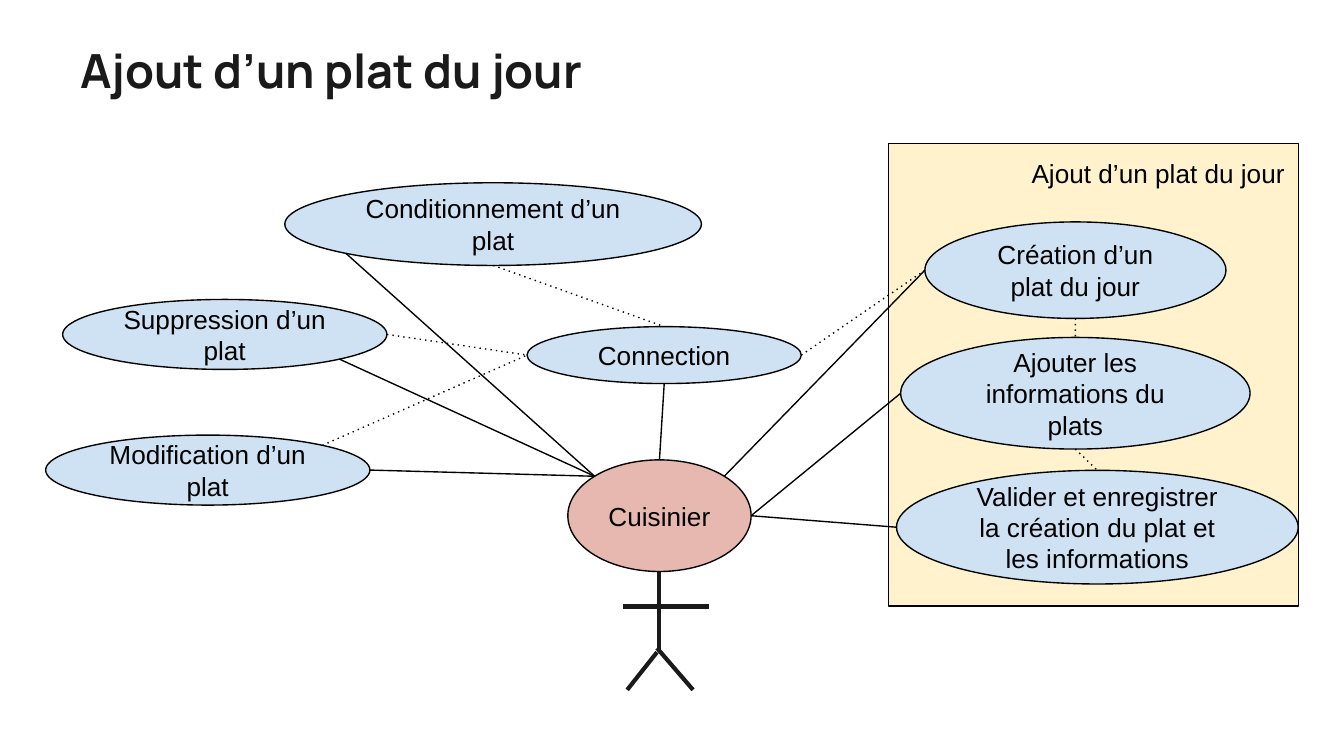
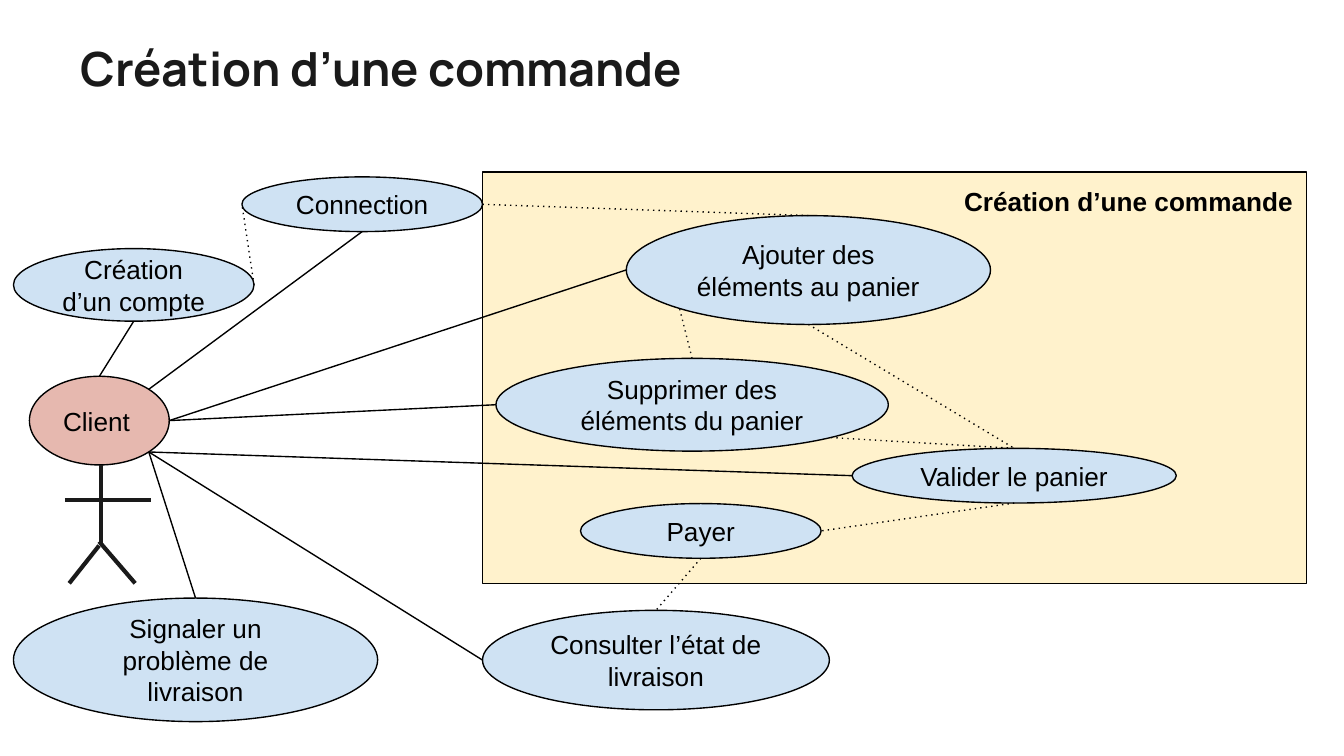
"""Builds two use-case diagram slides for a restaurant ordering system."""
from dataclasses import dataclass
from enum import IntEnum
from math import sqrt
from typing import NamedTuple

from lxml.etree import SubElement
from pptx import Presentation
from pptx.dml.color import RGBColor
from pptx.enum.shapes import MSO_CONNECTOR, MSO_SHAPE
from pptx.enum.text import MSO_ANCHOR as ANCHOR, PP_ALIGN as ALIGN
from pptx.oxml.ns import qn
from pptx.util import Pt


@dataclass(frozen=True)
class Theme:
    ink: str = "1A1A1A"
    black: str = "000000"
    system: str = "FFF2CC"
    actor: str = "E6B8AF"
    use_case: str = "CFE2F3"
    title_font: str = "Manrope"
    body_font: str = "Arial"
    title_size: float = 25.2
    body_size: float = 14
    thin: float = 0.75
    thick: float = 2.25
    inset: float = 7.2
    title_indent: float = 36
    title_height: float = 38.9


THEME = Theme()
WIDTH, HEIGHT = 720, 405


class Site(IntEnum):
    TOP = 0
    TOP_LEFT = 1
    LEFT = 2
    BOTTOM_LEFT = 3
    BOTTOM = 4
    BOTTOM_RIGHT = 5
    RIGHT = 6
    TOP_RIGHT = 7


DIAGONAL = sqrt(0.5)
DIRECTIONS = {
    Site.TOP: (0, -1),
    Site.TOP_LEFT: (-DIAGONAL, -DIAGONAL),
    Site.LEFT: (-1, 0),
    Site.BOTTOM_LEFT: (-DIAGONAL, DIAGONAL),
    Site.BOTTOM: (0, 1),
    Site.BOTTOM_RIGHT: (DIAGONAL, DIAGONAL),
    Site.RIGHT: (1, 0),
    Site.TOP_RIGHT: (DIAGONAL, -DIAGONAL),
}


class Point(NamedTuple):
    x: float
    y: float


class Box(NamedTuple):
    left: float
    top: float
    width: float
    height: float

    def site(self, site: Site) -> Point:
        dx, dy = DIRECTIONS[site]
        return Point(self.left + self.width * (1 + dx) / 2,
                     self.top + self.height * (1 + dy) / 2)


class Oval(NamedTuple):
    key: str
    text: str
    box: Box
    fill: str = THEME.use_case
    align: ALIGN = ALIGN.CENTER


class Link(NamedTuple):
    start: str
    start_site: Site
    end: str
    end_site: Site
    dotted: bool = False
    color: str = THEME.black


@dataclass(frozen=True)
class Diagram:
    title: str
    title_top: float
    system: Box
    system_bold: bool
    neck: Point
    ovals: list[Oval]
    links: list[Link]


LIMBS = [
    (Point(0, 0), Point(0, 41.8)),
    (Point(-17, 63.4), Point(-1, 43.2)),
    (Point(18.3, 63.4), Point(-1, 41)),
    (Point(-19.3, 18.7), Point(26.8, 18.7)),
]

DAILY_DISH = Diagram(
    title="Ajout d’un plat du jour",
    title_top=18,
    system=Box(475.9, 77, 219.6, 247.7),
    system_bold=False,
    neck=Point(353, 306.2),
    ovals=[
        Oval("cook", "Cuisinier", Box(304.2, 246.4, 98.2, 59.8), THEME.actor),
        Oval("login", "Connection", Box(282.4, 175, 146.9, 30.5)),
        Oval("pack", "Conditionnement d’un plat", Box(152.6, 97.9, 223.2, 44.3)),
        Oval("save", "Valider et enregistrer la création du plat et les informations",
             Box(480.3, 252, 215.2, 60.9)),
        Oval("create", "Création d’un plat du jour", Box(495.5, 118.9, 161.3, 51.7)),
        Oval("details", "Ajouter les informations du plats",
             Box(482.5, 180.8, 187.2, 59.8)),
        Oval("edit", "Modification d’un plat", Box(24.5, 233.1, 173.7, 37.5)),
        Oval("delete", "Suppression d’un plat", Box(33.6, 160.4, 173.7, 37.5)),
    ],
    links=[
        Link("cook", Site.TOP_RIGHT, "create", Site.LEFT),
        Link("cook", Site.RIGHT, "details", Site.LEFT),
        Link("cook", Site.RIGHT, "save", Site.LEFT),
        Link("create", Site.BOTTOM, "details", Site.TOP, True),
        Link("details", Site.BOTTOM, "save", Site.TOP, True),
        Link("login", Site.RIGHT, "create", Site.LEFT, True),
        Link("cook", Site.TOP, "login", Site.BOTTOM),
        Link("delete", Site.BOTTOM_RIGHT, "cook", Site.TOP_LEFT),
        Link("edit", Site.RIGHT, "cook", Site.TOP_LEFT),
        Link("pack", Site.BOTTOM_LEFT, "cook", Site.TOP_LEFT),
        Link("delete", Site.RIGHT, "login", Site.LEFT, True),
        Link("edit", Site.TOP_RIGHT, "login", Site.LEFT, True),
        Link("pack", Site.BOTTOM, "login", Site.TOP, True),
    ],
)

ORDER = Diagram(
    title="Création d’une commande",
    title_top=16.6,
    system=Box(258.5, 92.2, 441.4, 220.3),
    system_bold=True,
    neck=Point(54.1, 249.1),
    ovals=[
        Oval("client", "Client", Box(15.8, 201.6, 74.9, 47.5), THEME.actor, ALIGN.LEFT),
        Oval("add", "Ajouter des éléments au panier", Box(335.5, 115.5, 195.1, 58.3)),
        Oval("login", "Connection", Box(129.6, 94.8, 128.9, 29.3)),
        Oval("account", "Création d’un compte", Box(7.2, 133.2, 128.9, 38.9)),
        Oval("pay", "Payer", Box(311, 269.8, 128.9, 29.3)),
        Oval("confirm", "Valider le panier", Box(456.5, 240.2, 173.7, 29.3)),
        Oval("remove", "Supprimer des éléments du panier",
             Box(265.7, 192, 210.2, 49.7)),
        Oval("track", "Consulter l’état de livraison", Box(258.5, 327, 185.8, 53.3)),
        Oval("report", "Signaler un problème de livraison",
             Box(7.2, 320.4, 195.1, 66.2)),
    ],
    links=[
        Link("client", Site.TOP, "account", Site.BOTTOM),
        Link("client", Site.TOP_RIGHT, "login", Site.BOTTOM),
        Link("account", Site.RIGHT, "login", Site.LEFT, True),
        Link("client", Site.BOTTOM_RIGHT, "confirm", Site.LEFT),
        Link("client", Site.RIGHT, "remove", Site.LEFT),
        Link("client", Site.RIGHT, "add", Site.LEFT),
        Link("login", Site.RIGHT, "add", Site.TOP, True),
        Link("confirm", Site.BOTTOM, "pay", Site.RIGHT, True),
        Link("remove", Site.BOTTOM_RIGHT, "confirm", Site.TOP, True),
        Link("add", Site.BOTTOM, "confirm", Site.TOP, True),
        Link("client", Site.BOTTOM_RIGHT, "track", Site.LEFT),
        Link("client", Site.BOTTOM_RIGHT, "report", Site.TOP),
        Link("remove", Site.TOP, "add", Site.BOTTOM_LEFT, True, THEME.ink),
        Link("pay", Site.BOTTOM, "track", Site.TOP, True),
    ],
)


def rgb(color: str) -> RGBColor:
    return RGBColor.from_string(color)


def write(sp, text: str, font: str, size: float, color: str, bold: bool = False,
          align: ALIGN = ALIGN.LEFT, anchor: ANCHOR = ANCHOR.MIDDLE):
    tf = sp.text_frame
    tf.text = text
    tf.word_wrap = True
    tf.vertical_anchor = anchor
    tf.margin_left = tf.margin_right = tf.margin_top = tf.margin_bottom = Pt(THEME.inset)
    p = tf.paragraphs[0]
    p.alignment = align
    for r in p.runs:
        r.font.name = font
        r.font.size = Pt(size)
        r.font.bold = bold
        r.font.color.rgb = rgb(color)
    return p


def add_title(slide, text: str, top: float) -> None:
    sp = slide.shapes.add_textbox(0, Pt(top), Pt(WIDTH), Pt(THEME.title_height))
    p = write(sp, text, THEME.title_font, THEME.title_size, THEME.ink, bold=True)
    pPr = p._p.get_or_add_pPr()
    pPr.set("marL", "0")
    pPr.set("indent", str(Pt(THEME.title_indent)))


def add_panel(slide, kind: MSO_SHAPE, box: Box, fill: str, text: str, align: ALIGN,
              anchor: ANCHOR = ANCHOR.MIDDLE, bold: bool = False):
    sp = slide.shapes.add_shape(kind, *map(Pt, box))
    sp.shadow.inherit = False
    sp.fill.solid()
    sp.fill.fore_color.rgb = rgb(fill)
    sp.line.color.rgb = rgb(THEME.black)
    sp.line.width = Pt(THEME.thin)
    write(sp, text, THEME.body_font, THEME.body_size, THEME.black, bold, align, anchor)
    return sp


def add_line(slide, start: Point, end: Point, color: str, width: float,
             dotted: bool = False):
    line = slide.shapes.add_connector(MSO_CONNECTOR.STRAIGHT, *map(Pt, start + end))
    line.line.color.rgb = rgb(color)
    line.line.width = Pt(width)
    spPr = line._element.spPr
    if dotted:
        SubElement(spPr.find(qn("a:ln")), qn("a:prstDash"), val="dot")
    SubElement(spPr, qn("a:effectLst"))
    return line


def add_link(slide, link: Link, boxes: dict[str, Box], shapes: dict) -> None:
    line = add_line(slide, boxes[link.start].site(link.start_site),
                    boxes[link.end].site(link.end_site),
                    link.color, THEME.thin, link.dotted)
    joints = line._element.nvCxnSpPr.cNvCxnSpPr
    for tag, key, site in (("a:stCxn", link.start, link.start_site),
                           ("a:endCxn", link.end, link.end_site)):
        SubElement(joints, qn(tag), id=str(shapes[key].shape_id), idx=str(int(site)))


def add_figure(slide, neck: Point) -> None:
    for start, end in LIMBS:
        add_line(slide, Point(neck.x + start.x, neck.y + start.y),
                 Point(neck.x + end.x, neck.y + end.y), THEME.ink, THEME.thick)


def add_diagram(prs, diagram: Diagram) -> None:
    slide = prs.slides.add_slide(prs.slide_layouts[6])
    add_title(slide, diagram.title, diagram.title_top)
    add_panel(slide, MSO_SHAPE.RECTANGLE, diagram.system, THEME.system, diagram.title,
              ALIGN.RIGHT, ANCHOR.TOP, diagram.system_bold)
    boxes = {oval.key: oval.box for oval in diagram.ovals}
    shapes = {oval.key: add_panel(slide, MSO_SHAPE.OVAL, oval.box, oval.fill,
                                  oval.text, oval.align)
              for oval in diagram.ovals}
    for link in diagram.links:
        add_link(slide, link, boxes, shapes)
    add_figure(slide, diagram.neck)


def main() -> None:
    prs = Presentation()
    prs.slide_width, prs.slide_height = Pt(WIDTH), Pt(HEIGHT)
    for diagram in (DAILY_DISH, ORDER):
        add_diagram(prs, diagram)
    prs.save("out.pptx")


if __name__ == "__main__":
    main()
